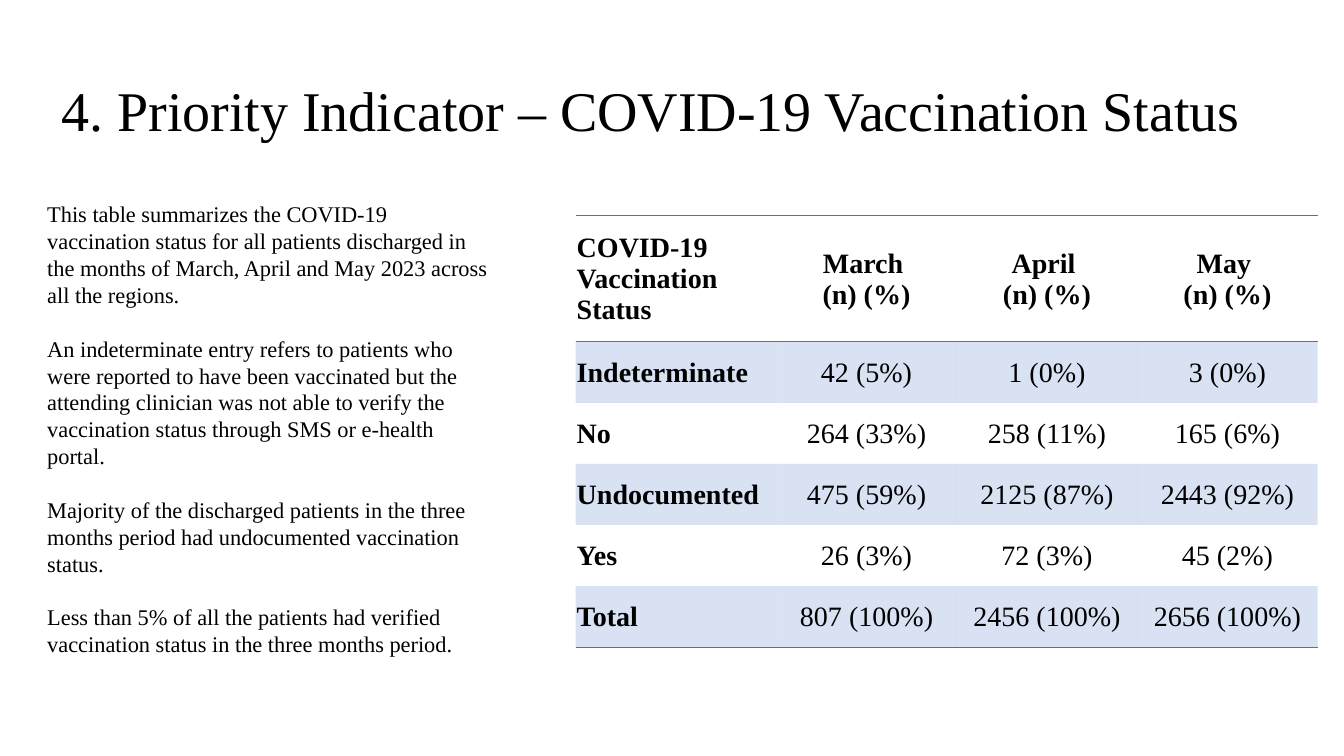
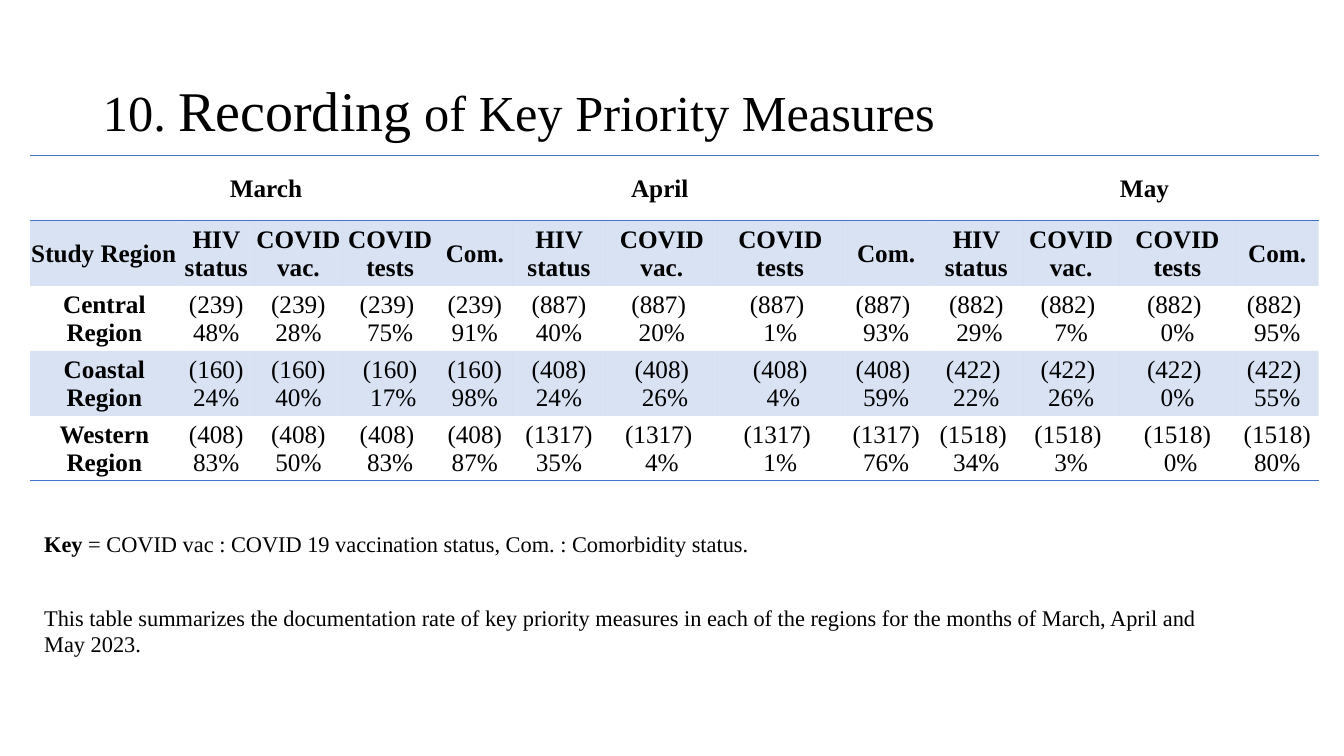
from dataclasses import dataclass

from lxml import etree
from pptx import Presentation
from pptx.enum import text as t
from pptx.dml.color import RGBColor
from pptx.oxml import ns
from pptx.util import Inches, Pt

FONT = "Times New Roman"
INK = "000000"
BLUE = "4472C4"
PLAIN = "{2D5ABB26-0587-4C30-8999-92F81FD0307C}"
LEFT, MID = t.PP_ALIGN.LEFT, t.PP_ALIGN.CENTER


@dataclass
class Box:
    x: float
    y: float
    w: float
    h: float

    def place(self) -> tuple:
        return tuple(Inches(v) for v in (self.x, self.y, self.w, self.h))


@dataclass
class Run:
    text: str
    size: float
    bold: bool = False


@dataclass
class Grid:
    box: Box
    cols: list[float]
    top: float
    rows: list[list[str]]
    size: float
    heads: int
    flush: set[tuple[int, int]]
    spans: dict[int, int]
    pads: dict[int, float]


def paint(color: str) -> RGBColor:
    return RGBColor.from_string(color)


def style(font, size: float, bold: bool = False) -> None:
    form = {"name": FONT, "size": Pt(size), "bold": bold}
    for key, value in form.items():
        setattr(font, key, value)
    font.color.rgb = paint(INK)


def write(para, runs: list[Run]) -> None:
    for part in runs:
        run = para.add_run()
        run.text = part.text
        style(run.font, part.size, part.bold)


def head(deck, box: Box, runs: list[Run]):
    slide = deck.slides.add_slide(deck.slide_layouts[5])
    title = slide.shapes.title
    title.left, title.top, title.width, title.height = box.place()
    frame = title.text_frame
    form = {"vertical_anchor": t.MSO_ANCHOR.TOP, "word_wrap": True,
            "auto_size": t.MSO_AUTO_SIZE.NONE}
    for key, value in form.items():
        setattr(frame, key, value)
    para = frame.paragraphs[0]
    para.alignment, para.line_spacing = LEFT, 0.9
    write(para, runs)
    return slide


def note(slide, box: Box, paras: list[list[Run]]) -> None:
    frame = slide.shapes.add_textbox(*box.place()).text_frame
    frame.word_wrap = True
    for i, runs in enumerate(paras):
        para = frame.add_paragraph() if i else frame.paragraphs[0]
        if i:
            para.space_before = Pt(19.2)
        write(para, runs)


def edge(cell, side: str) -> None:
    line = etree.Element(ns.qn(f"a:{side}"), w=str(Pt(1)))
    fill = etree.SubElement(line, ns.qn("a:solidFill"))
    etree.SubElement(fill, ns.qn("a:srgbClr"), val=BLUE)
    cell._tc.get_or_add_tcPr().insert(0, line)


def shade(cell, band: bool) -> None:
    if not band:
        cell.fill.background()
        return
    cell.fill.solid()
    cell.fill.fore_color.rgb = paint(BLUE)
    tone = cell._tc.tcPr.find(".//" + ns.qn("a:srgbClr"))
    etree.SubElement(tone, ns.qn("a:alpha"), val="20000")


def draw(slide, grid: Grid) -> None:
    last = len(grid.rows) - 1
    table = slide.shapes.add_table(last + 1, len(grid.cols), *grid.box.place()).table
    table._tbl.tblPr.find(ns.qn("a:tableStyleId")).text = PLAIN
    table.first_row = table.horz_banding = False
    for col, width in zip(table.columns, grid.cols):
        col.width = Inches(width)
    rest = (grid.box.h - grid.top) / last
    for r, texts in enumerate(grid.rows):
        table.rows[r].height = Inches(rest if r else grid.top)
        for c, words in enumerate(texts):
            cell = table.cell(r, c)
            form = {"vertical_anchor": t.MSO_ANCHOR.MIDDLE, "margin_left": Inches(0.01),
                    "margin_right": Inches(0.01), "margin_top": Inches(0.01),
                    "margin_bottom": 0, "text": words}
            for key, value in form.items():
                setattr(cell, key, value)
            if r == 0 and c in grid.pads:
                cell.margin_left = Inches(grid.pads[c])
            for para in cell.text_frame.paragraphs:
                para.alignment = LEFT if (r, c) in grid.flush else MID
                style(para.font, grid.size)
                for run in para.runs:
                    style(run.font, grid.size, r < grid.heads or c == 0)
            shade(cell, r % 2 == 1)
            if r in (0, last):
                edge(cell, "lnB")
            if r == 0:
                edge(cell, "lnT")
    for c, count in grid.spans.items():
        table.cell(0, c).merge(table.cell(0, c + count - 1))


STATUS = Grid(
    Box(5.71, 2.14, 7.36, 4.28), [1.99] + [1.79] * 3, 1.25,
    [["COVID-19 Vaccination Status"] + [f"{m} \n(n) (%)" for m in ("March", "April", "May")],
     ["Indeterminate", "42 (5%)", "1 (0%)", "3 (0%)"],
     ["No", "264 (33%)", "258 (11%)", "165 (6%)"],
     ["Undocumented", "475 (59%)", "2125 (87%)", "2443 (92%)"],
     ["Yes", "26 (3%)", "72 (3%)", "45 (2%)"],
     ["Total", "807 (100%)", "2456 (100%)", "2656 (100%)"]],
    20, 1, {(r, 0) for r in range(6)}, {}, {})

RATES = Grid(
    Box(0.3, 1.54, 12.78, 3.23),
    [1.47, 0.75, 0.88, 0.94, 0.74, 0.93, 1.11, 1.24, 0.86, 0.93, 0.95, 1.16, 0.82], 0.65,
    [["", "March", "", "", "", "", "April", "", "", "", "", "May", ""],
     ["Study Region"] + ["HIV status", "COVID vac.", "COVID tests", "Com."] * 3,
     ["Central Region", "(239) 48%", "(239) 28%", "(239) \n75%", "(239) 91%",
      "(887) 40%", "(887) \n20%", "(887) \n1%", "(887) \n93%",
      "(882)\n 29%", "(882) \n7%", "(882) \n0%", "(882) \n95%"],
     ["Coastal Region", "(160) 24%", "(160) 40%", "(160)\n 17%", "(160) 98%",
      "(408) 24%", "(408)\n 26%", "(408)\n 4%", "(408) \n59%",
      "(422) \n22%", "(422) \n26%", "(422) \n0%", "(422) \n55%"],
     ["Western Region", "(408) 83%", "(408) 50%", "(408) \n83%", "(408) 87%",
      "(1317) 35%", "(1317) \n4%", "(1317) \n1%", "(1317) 76%",
      "(1518) \n34%", "(1518) \n3%", "(1518)\n 0%", "(1518) 80%"]],
    18, 2, {(0, 1), (0, 6), (0, 11), (1, 0)}, {1: 5, 6: 5, 11: 2}, {1: 0.51, 6: 0.25})

FACTS = [
    "This table summarizes the COVID-19 vaccination status for all patients discharged in "
    "the months of March, April and May 2023 across all the regions.",
    "An indeterminate entry refers to patients who were reported to have been vaccinated "
    "but the attending clinician was not able to verify the vaccination status through "
    "SMS or e-health portal.",
    "Majority of the discharged patients in the three months period had undocumented "
    "vaccination status.",
    "Less than 5% of all the patients had verified vaccination status in the three months "
    "period.",
]


def main() -> None:
    deck = Presentation()
    deck.slide_width, deck.slide_height = Inches(13.33), Inches(7.5)

    slide = head(deck, Box(0.51, 0.77, 12.11, 0.99),
                 [Run("4. Priority Indicator – COVID-19 Vaccination Status", 40)])
    draw(slide, STATUS)
    note(slide, Box(0.37, 1.94, 4.59, 4.95), [[Run(fact, 16)] for fact in FACTS])

    slide = head(deck, Box(0.92, 0.77, 11.5, 0.96),
                 [Run("10. ", 36), Run("Recording", 40), Run(" of Key Priority Measures", 36)])
    draw(slide, RATES)
    note(slide, Box(0.34, 5.94, 12.06, 0.64), [[Run(
        "This table summarizes the documentation rate of key priority measures in each of "
        "the regions for the months of March, April and May 2023.", 16)]])
    note(slide, Box(0.34, 5.21, 10.47, 0.37), [[
        Run("Key ", 16, True),
        Run("= COVID vac : COVID 19 vaccination status, Com. : Comorbidity status.", 16)]])

    deck.save("out.pptx")


if __name__ == "__main__":
    main()
